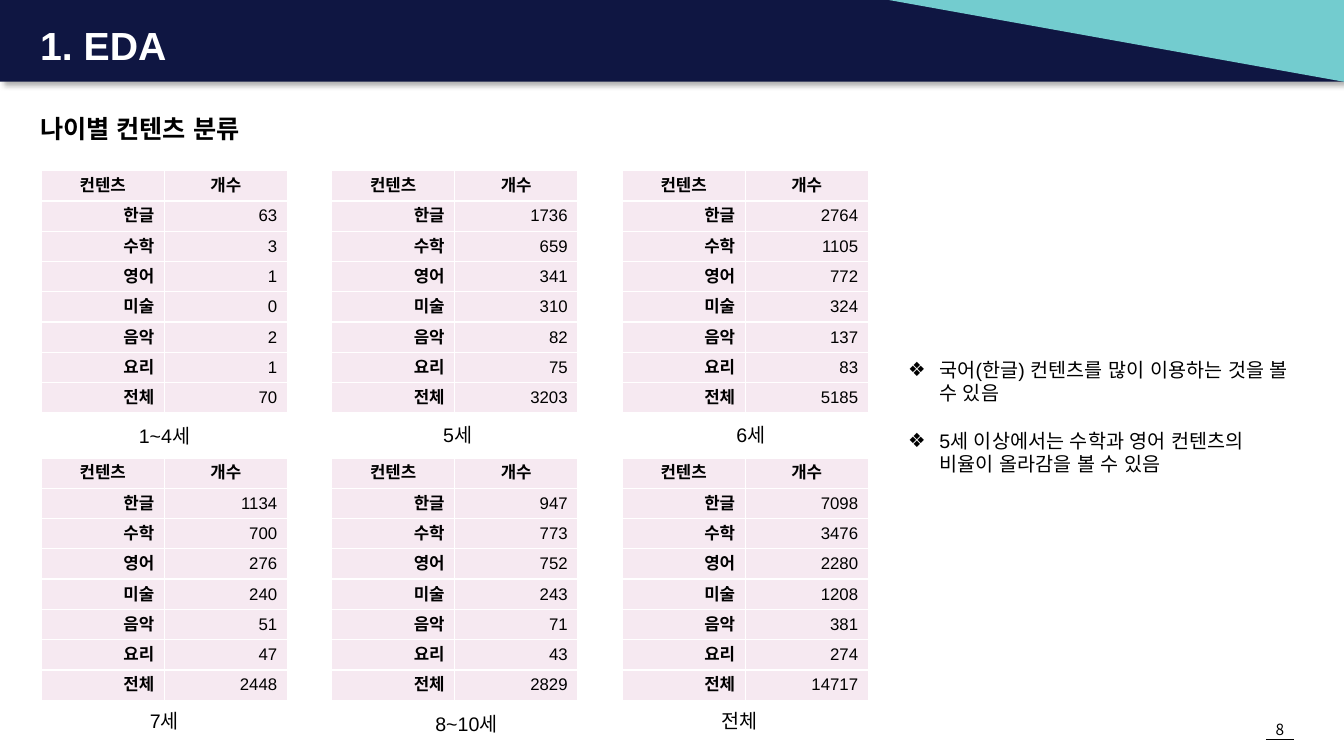
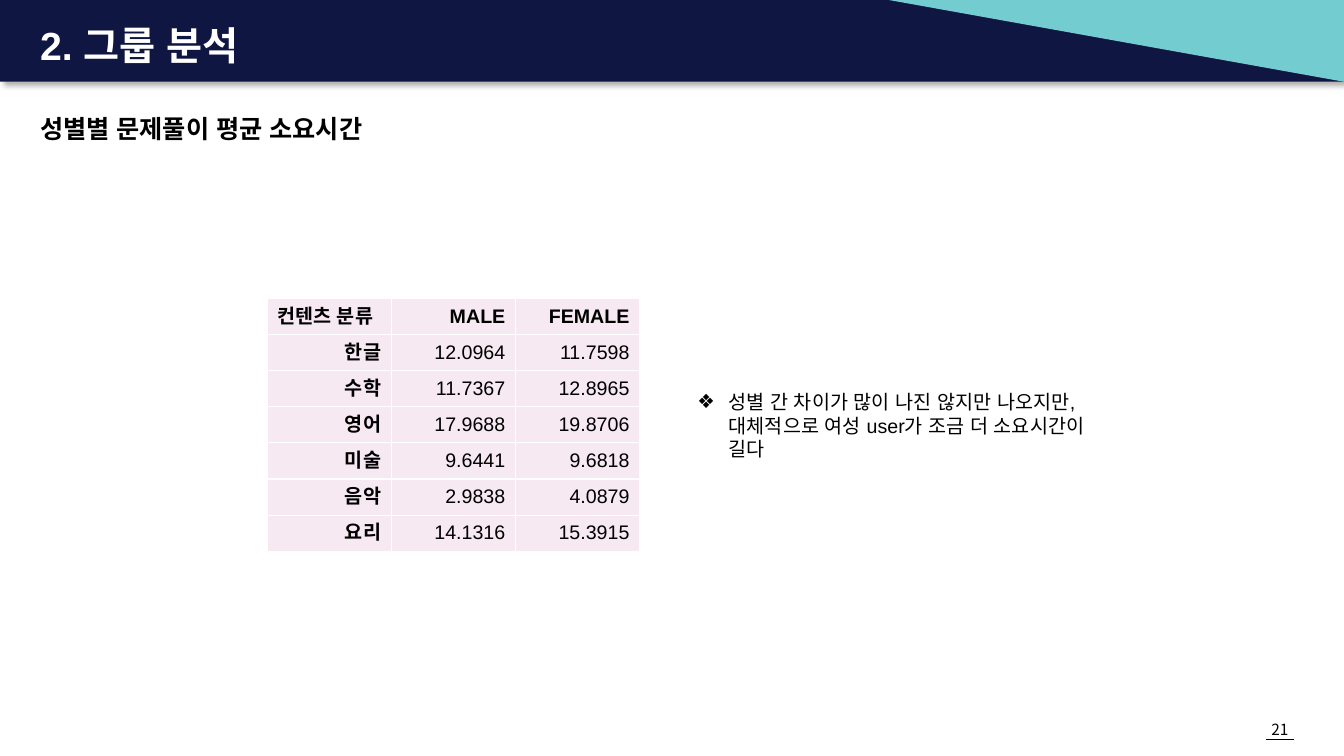
"""Builds two analysis slides with content counts and solving times."""
from dataclasses import dataclass

from lxml import etree
from pptx import Presentation
from pptx.dml.color import RGBColor
from pptx.enum.shapes import MSO_CONNECTOR, MSO_SHAPE
from pptx.enum.text import MSO_ANCHOR, MSO_AUTO_SIZE, PP_ALIGN
from pptx.oxml.ns import qn
from pptx.util import Cm, Pt

LEFT, CENTER, RIGHT = PP_ALIGN.LEFT, PP_ALIGN.CENTER, PP_ALIGN.RIGHT
TOP, MIDDLE = MSO_ANCHOR.TOP, MSO_ANCHOR.MIDDLE
NO_FIT, FIT_SHAPE = MSO_AUTO_SIZE.NONE, MSO_AUTO_SIZE.SHAPE_TO_FIT_TEXT
RECTANGLE, TRIANGLE = MSO_SHAPE.RECTANGLE, MSO_SHAPE.RIGHT_TRIANGLE
STRAIGHT = MSO_CONNECTOR.STRAIGHT
TITLE_AND_CONTENT = 1


@dataclass(frozen=True)
class Theme:
    """Colours, fonts and type sizes of the deck."""
    navy: str = "0F1642"
    teal: str = "73CCCF"
    pink: str = "F6E9F1"
    black: str = "000000"
    white: str = "FFFFFF"
    font: str = "Arial"
    number_font: str = "Noto Sans CJK KR"
    title: int = 28
    subtitle: int = 18
    body: int = 14
    small: int = 12
    number: int = 11


class Deck:
    """Holds the theme and the current page, and draws each kind of element."""

    def __init__(self, theme):
        """Start an empty wide presentation."""
        self.theme = theme
        self.show = Presentation()
        self.show.slide_width, self.show.slide_height = Cm(33.87), Cm(19.05)
        self.page = None

    def add_span(self, para, text, size, bold=False, color=None, font=None, align=LEFT):
        """Add one formatted run to a paragraph."""
        para.alignment = align
        span = para.add_run()
        span.text = text
        span.font.size, span.font.bold = Pt(size), bold
        span.font.color.rgb = RGBColor.from_string(color or self.theme.black)
        span.font.name = font or self.theme.font
        east_asian = etree.SubElement(span.font._element, qn("a:ea"))
        east_asian.set("typeface", font or self.theme.font)

    def place(self, shape, left, top, width, height):
        """Move and size a shape in centimetres."""
        shape.left, shape.top = Cm(left), Cm(top)
        shape.width, shape.height = Cm(width), Cm(height)

    def block(self, kind, left, width, color):
        """Draw one plain shape of the title band."""
        shape = self.page.shapes.add_shape(kind, Cm(left), 0, Cm(width), Cm(2.06))
        shape.shadow.inherit = False
        shape.fill.solid()
        shape.fill.fore_color.rgb = RGBColor.from_string(color)
        shape.line.fill.background()
        return shape

    def band(self):
        """Draw the title band behind everything else."""
        bar = self.block(RECTANGLE, 0, 33.87, self.theme.navy)
        effects = bar._element.spPr.find(qn("a:effectLst"))
        shadow = etree.SubElement(effects, qn("a:outerShdw"), blurRad=str(Pt(4)),
                                  dist=str(Pt(3)), dir="2700000", algn="tl", rotWithShape="0")
        tint = etree.SubElement(shadow, qn("a:srgbClr"), val=self.theme.black)
        etree.SubElement(tint, qn("a:alpha"), val="29000")
        wedge = self.block(TRIANGLE, 22.4, 11.47, self.theme.teal)
        wedge.rotation = 180
        for position, shape in enumerate((bar, wedge), 2):
            self.page.shapes.element.insert(position, shape._element)

    def footer(self, number):
        """Draw the underlined page number."""
        self.text(str(number), 31.39, 18.01, 1.73, 0.71, self.theme.number,
                  font=self.theme.number_font, align=CENTER)
        rule = self.page.shapes.add_connector(STRAIGHT, Cm(31.9), Cm(18.64), Cm(32.61), Cm(18.64))
        rule.line.color.rgb = RGBColor.from_string(self.theme.black)
        rule.line.width = Pt(0.5)
        etree.SubElement(rule._element.spPr, qn("a:effectLst"))

    def add_page(self, title, subtitle, subtitle_width, number):
        """Start a page with its band, title, subtitle and number."""
        self.page = self.show.slides.add_slide(self.show.slide_layouts[TITLE_AND_CONTENT])
        self.band()
        heading = self.page.shapes.title
        self.place(heading, 0.76, 0.48, 15.37, 1.3)
        frame = heading.text_frame
        frame.auto_size, frame.vertical_anchor = NO_FIT, MIDDLE
        self.add_span(frame.paragraphs[0], title, self.theme.title, True, self.theme.white)
        self.text(subtitle, 0.76, 2.72, subtitle_width, 1.02, self.theme.subtitle,
                  bold=True, wrap=False)
        self.footer(number)

    def text(self, text, left, top, width, height, size, wrap=True, **style):
        """Add a one-line text box."""
        box = self.page.shapes.add_textbox(Cm(left), Cm(top), Cm(width), Cm(height))
        box.text_frame.word_wrap = wrap
        box.text_frame.auto_size = FIT_SHAPE
        self.add_span(box.text_frame.paragraphs[0], text, size, **style)

    def bullets(self, items, left, top, height):
        """Fill the body placeholder with diamond bullets."""
        body = self.page.placeholders[1]
        self.place(body, left, top, 10.41, height)
        frame = body.text_frame
        frame.auto_size, frame.vertical_anchor = NO_FIT, TOP
        for index, item in enumerate(items):
            para = frame.add_paragraph() if index else frame.paragraphs[0]
            para.space_before = Pt(17 if index else 0)
            self.add_span(para, item, self.theme.body)
            props = para._p.get_or_add_pPr()
            props.set("marL", str(Cm(0.79)))
            props.set("indent", str(-Cm(0.79)))
            etree.SubElement(props, qn("a:buFont"), typeface=self.theme.font)
            etree.SubElement(props, qn("a:buChar"), char="❖")

    def cell(self, cell, text, size, bold, align):
        """Fill one table cell with white borders and text."""
        props = cell._tc.get_or_add_tcPr()
        for side in ("lnL", "lnR", "lnT", "lnB"):
            line = etree.SubElement(props, qn(f"a:{side}"), w=str(Pt(1)))
            fill = etree.SubElement(line, qn("a:solidFill"))
            etree.SubElement(fill, qn("a:srgbClr"), val=self.theme.white)
        cell.fill.solid()
        cell.fill.fore_color.rgb = RGBColor.from_string(self.theme.pink)
        cell.vertical_anchor = MIDDLE
        self.add_span(cell.text_frame.paragraphs[0], text, size, bold, align=align)

    def table(self, rows, left, top, column, row_height, size, header_aligns):
        """Add a table with a bold header row and a bold first column."""
        count = len(rows[0])
        grid = self.page.shapes.add_table(len(rows), count, Cm(left), Cm(top),
                                          Cm(column * count), Cm(row_height * len(rows))).table
        for grid_column in grid.columns:
            grid_column.width = Cm(column)
        for r, values in enumerate(rows):
            grid.rows[r].height = Cm(row_height)
            for c, value in enumerate(values):
                align = RIGHT if r else header_aligns[c]
                self.cell(grid.cell(r, c), value, size, r == 0 or c == 0, align)


SUBJECTS = ("한글", "수학", "영어", "미술", "음악", "요리")
COUNTS = (
    ("1~4세", 3.25, 10.57, (63, 3, 1, 0, 2, 1, 70)),
    ("5세", 10.92, 10.52, (1736, 659, 341, 310, 82, 75, 3203)),
    ("6세", 18.31, 10.54, (2764, 1105, 772, 324, 137, 83, 5185)),
    ("7세", 3.53, 17.73, (1134, 700, 276, 240, 51, 47, 2448)),
    ("8~10세", 10.72, 17.81, (947, 773, 752, 243, 71, 43, 2829)),
    ("전체", 17.93, 17.73, (7098, 3476, 2280, 1208, 381, 274, 14717)),
)
TIMES = (
    ("12.0964", "11.7598"), ("11.7367", "12.8965"), ("17.9688", "19.8706"),
    ("9.6441", "9.6818"), ("2.9838", "4.0879"), ("14.1316", "15.3915"),
)


def age_page(deck):
    """Show the content counts of each age group."""
    deck.add_page("1. EDA", "나이별 컨텐츠 분류", 5.99, 8)
    for index, (age, left, top, counts) in enumerate(COUNTS):
        row, column = divmod(index, 3)
        rows = [("컨텐츠", "개수")]
        rows += [(name, str(count)) for name, count in zip((*SUBJECTS, "전체"), counts)]
        deck.table(rows, 1.04 + 7.32 * column, 4.3 + 7.24 * row, 3.1, 0.76,
                   deck.theme.small, (CENTER, CENTER))
        deck.text(age, left, top, 2.79, 0.86, deck.theme.body)
    deck.bullets(("국어(한글) 컨텐츠를 많이 이용하는 것을 볼 수 있음",
                  "5세 이상에서는 수학과 영어 컨텐츠의 비율이 올라감을 볼 수 있음"),
                 22.63, 8.89, 3.25)


def gender_page(deck):
    """Show the mean solving times by gender."""
    deck.add_page("2. 그룹 분석", "성별별 문제풀이 평균 소요시간", 9.37, 21)
    rows = [("컨텐츠 분류", "MALE", "FEMALE")]
    rows += [(name, *times) for name, times in zip(SUBJECTS, TIMES)]
    deck.table(rows, 6.73, 7.52, 3.13, 0.91, deck.theme.body, (LEFT, RIGHT, RIGHT))
    deck.bullets(("성별 간 차이가 많이 나진 않지만 나오지만, 대체적으로 여성 user가 조금 더 소요시간이 길다",),
                 17.32, 9.7, 2.06)


def main():
    """Build and save the deck."""
    deck = Deck(Theme())
    age_page(deck)
    gender_page(deck)
    deck.show.save("out.pptx")


if __name__ == "__main__":
    main()
